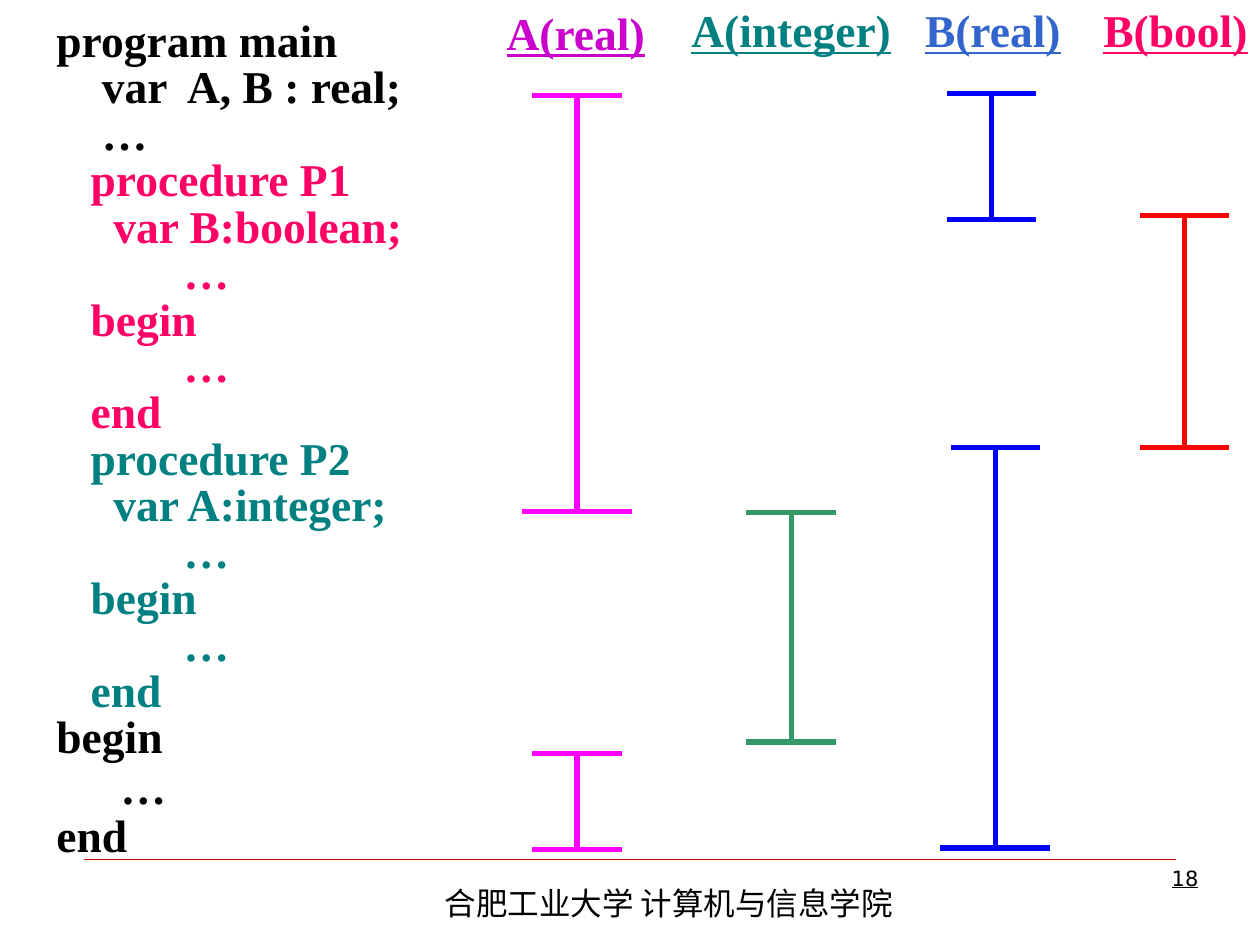
from dataclasses import dataclass

from lxml.etree import SubElement
from pptx import Presentation
from pptx.dml.color import RGBColor
from pptx.enum.shapes import MSO_CONNECTOR
from pptx.enum.text import MSO_ANCHOR, MSO_AUTO_SIZE, PP_ALIGN
from pptx.oxml.ns import qn
from pptx.util import Inches, Pt


@dataclass(frozen=True)
class Theme:
    black: str = "000000"
    pink: str = "FF0066"
    teal: str = "008080"
    purple: str = "CC00CC"
    steel: str = "3366CC"
    magenta: str = "FF00FF"
    blue: str = "0000FF"
    red: str = "FF0000"
    green: str = "339966"
    rule: str = "CC0000"
    code_font: str = "Times New Roman"
    footer_font: str = "Noto Sans CJK SC"
    number_font: str = "DejaVu Sans"
    code_size: float = 26
    footer_size: float = 18
    number_size: float = 12
    bar_width: float = 3
    rule_width: float = 0.25


THEME = Theme()

# Each line is a list of (text, colour) runs
CODE = [
    [("program main", THEME.black)],
    [("    var  A, B : real;", THEME.black)],
    [("    …", THEME.black)],
    [("   ", THEME.black), ("procedure P1", THEME.pink)],
    [("     var B:boolean;", THEME.pink)],
    [(" \t\t…", THEME.pink)],
    [("   begin", THEME.pink)],
    [(" \t\t…", THEME.pink)],
    [("   end", THEME.pink)],
    [("   ", THEME.black), ("procedure P2", THEME.teal)],
    [("     var A:integer;", THEME.teal)],
    [(" \t\t…", THEME.teal)],
    [("   begin", THEME.teal)],
    [(" \t\t…", THEME.teal)],
    [("   end", THEME.teal)],
    [("begin", THEME.black)],
    [(" \t…", THEME.black)],
    [("end", THEME.black)],
]
CODE_INDENT = 0.51

# Variable name, left, top, width, colour
HEADINGS = [
    ("A(real)", 3.92, -0.01, 1.3, THEME.purple),
    ("A(integer)", 5.39, -0.03, 1.78, THEME.teal),
    ("B(real)", 7.24, -0.03, 1.28, THEME.steel),
    ("B(bool)", 8.66, -0.03, 1.34, THEME.pink),
]

# Centre, top, bottom, bottom cap width, colour
NARROW, WIDE = 0.67, 0.83
SCOPES = [
    (4.58, 0.76, 4.06, WIDE, THEME.magenta),
    (4.58, 5.98, 6.74, NARROW, THEME.magenta),
    (6.28, 4.07, 5.89, NARROW, THEME.green),
    (7.87, 0.74, 1.74, NARROW, THEME.blue),
    (7.9, 3.55, 6.73, WIDE, THEME.blue),
    (9.4, 1.71, 3.55, NARROW, THEME.red),
]


def add_text_box(slide, left, top, width, height, wrap=True, grow=False):
    shape = slide.shapes.add_textbox(
        Inches(left), Inches(top), Inches(width), Inches(height))
    frame = shape.text_frame
    frame.word_wrap = wrap
    frame.vertical_anchor = MSO_ANCHOR.TOP
    frame.auto_size = MSO_AUTO_SIZE.SHAPE_TO_FIT_TEXT if grow else MSO_AUTO_SIZE.NONE
    return frame


def add_run(paragraph, text, font_name, size, color, bold=False, underline=False):
    run = paragraph.add_run()
    run.text = text
    font = run.font
    font.name, font.size = font_name, Pt(size)
    font.bold, font.underline = bold, underline
    font.color.rgb = RGBColor.from_string(color)
    east_asian = SubElement(font._element, qn("a:ea"))
    east_asian.set("typeface", font_name)


def set_hanging_tabs(paragraph):
    properties = paragraph._p.get_or_add_pPr()
    properties.set("marL", str(Inches(CODE_INDENT)))
    properties.set("indent", str(Inches(-CODE_INDENT)))
    tab_list = SubElement(properties, qn("a:tabLst"))
    for step in range(8):
        SubElement(tab_list, qn("a:tab"),
                   pos=str(Inches(CODE_INDENT + step)), algn="l")


def add_code(slide):
    frame = add_text_box(slide, 0.35, 0.13, 3.83, 6.85)
    for index, runs in enumerate(CODE):
        paragraph = frame.add_paragraph() if index else frame.paragraphs[0]
        set_hanging_tabs(paragraph)
        # The ellipsis of the main body stands in a slightly taller line
        paragraph.line_spacing = 0.9 if index == len(CODE) - 2 else 0.8
        paragraph.space_before = Pt(1.6 if index else 0)
        for text, color in runs:
            add_run(paragraph, text, THEME.code_font, THEME.code_size, color, bold=True)


def add_heading(slide, text, left, top, width, color):
    frame = add_text_box(slide, left, top, width, 0.54, wrap=False, grow=True)
    # Narrow side margins keep each heading on one line
    frame.margin_left = frame.margin_right = Inches(0.05)
    paragraph = frame.paragraphs[0]
    paragraph.alignment = PP_ALIGN.CENTER
    add_run(paragraph, text, THEME.code_font, THEME.code_size, color,
            bold=True, underline=True)


def add_line(slide, start, end, color, width):
    connector = slide.shapes.add_connector(
        MSO_CONNECTOR.STRAIGHT, *map(Inches, (*start, *end)))
    connector.line.color.rgb = RGBColor.from_string(color)
    connector.line.width = Pt(width)
    SubElement(connector._element.spPr, qn("a:effectLst"))
    return connector


def add_scope(slide, center, top, bottom, bottom_cap, color):
    for y, cap in ((top, NARROW), (bottom, bottom_cap)):
        bar = add_line(slide, (center - cap / 2, y), (center + cap / 2, y),
                       color, THEME.bar_width)
        bar.line._get_or_add_ln().set("cap", "sq")
    add_line(slide, (center, top), (center, bottom), color, THEME.bar_width)


def add_footer(slide):
    add_line(slide, (0.67, 6.82), (9.33, 6.82), THEME.rule, THEME.rule_width)
    frame = add_text_box(slide, 3.43, 6.97, 4.88, 0.4, grow=True)
    add_run(frame.paragraphs[0], "合肥工业大学 计算机与信息学院",
            THEME.footer_font, THEME.footer_size, THEME.black)
    frame = add_text_box(slide, 7.44, 6.82, 2.17, 0.52)
    frame.paragraphs[0].alignment = PP_ALIGN.RIGHT
    add_run(frame.paragraphs[0], "18", THEME.number_font, THEME.number_size,
            THEME.black, underline=True)


def main():
    presentation = Presentation()
    presentation.slide_width, presentation.slide_height = Inches(10), Inches(7.5)
    slide = presentation.slides.add_slide(presentation.slide_layouts[6])
    add_footer(slide)
    add_code(slide)
    for heading in HEADINGS:
        add_heading(slide, *heading)
    for scope in SCOPES:
        add_scope(slide, *scope)
    presentation.save("out.pptx")


if __name__ == "__main__":
    main()
